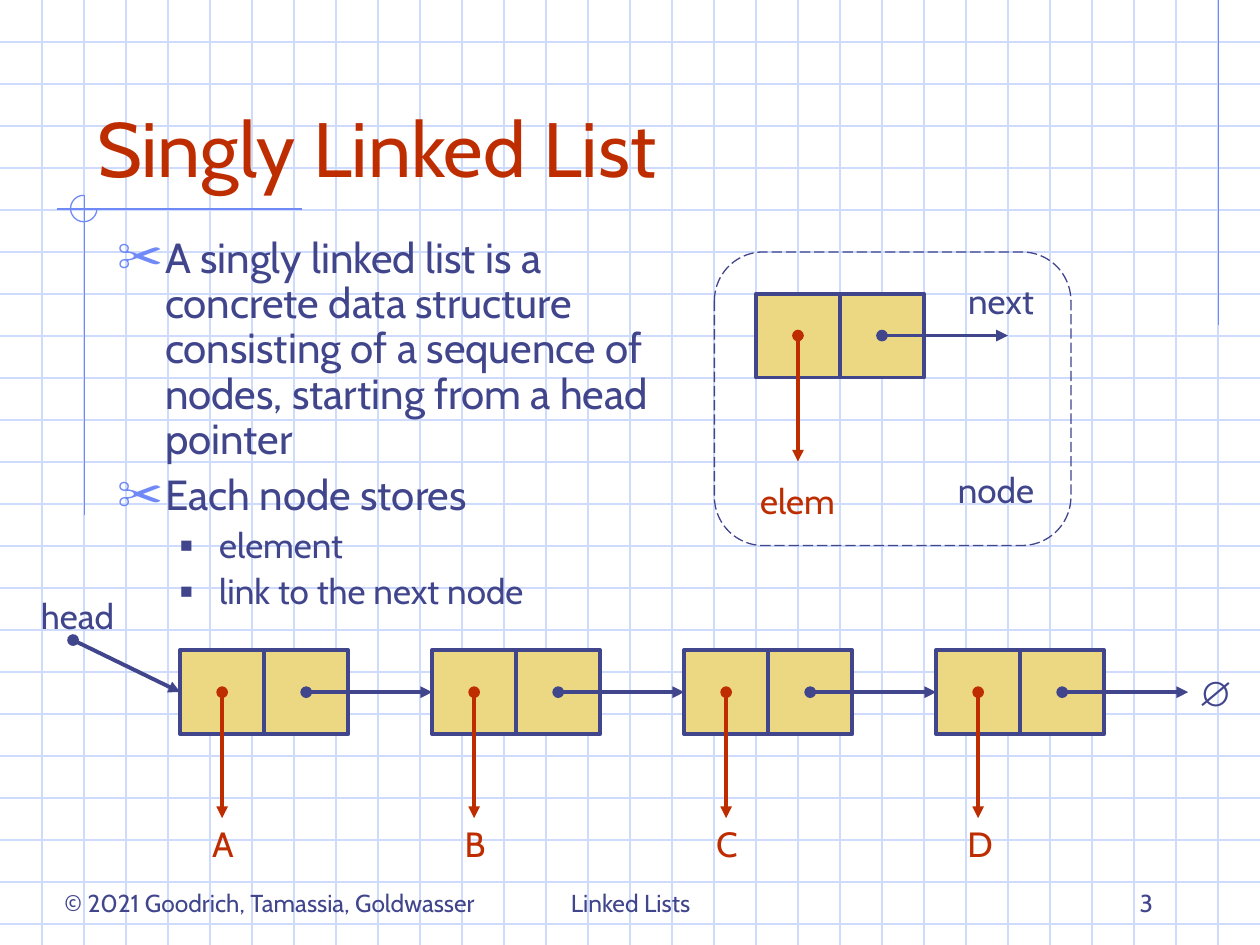
from lxml import etree
from pptx import Presentation
from pptx import util as u
from pptx.dml.color import RGBColor
from pptx.enum import dml, shapes, text
from pptx.oxml.ns import qn

NAVY = RGBColor(0x40, 0x45, 0x8C)
RED = RGBColor(0xBE, 0x2D, 0x00)
BLUE = RGBColor(0x6F, 0x89, 0xF7)
GRID = RGBColor(0xCF, 0xDB, 0xFD)
SAND = RGBColor(0xEC, 0xD8, 0x82)
WHITE = RGBColor(0xFF, 0xFF, 0xFF)

CELL = 2 / 3  # side of one node cell, in inches
STEP = 1 / 3  # spacing of the background grid
CENTER, LEFT, RIGHT = text.PP_ALIGN.CENTER, text.PP_ALIGN.LEFT, text.PP_ALIGN.RIGHT


class Deck:
    """Style of the deck and the slide being drawn."""

    font = "Cabin"
    thin, thick = 0.75, 2.25

    def __init__(self, prs):
        self.s = prs.slides.add_slide(prs.slide_layouts[1])
        fill = self.s.background.fill
        fill.solid()
        fill.fore_color.rgb = WHITE

    def style(self, p, size, color, font=None, bold=False):
        for r in p.runs:
            r.font.name = font or self.font
            r.font.size = u.Pt(size)
            r.font.bold = bold
            r.font.color.rgb = color

    def line(self, x1, y1, x2, y2, color, width=thin):
        c = self.s.shapes.add_connector(
            shapes.MSO_CONNECTOR.STRAIGHT, *map(u.Inches, (x1, y1, x2, y2)))
        c.line.color.rgb = color
        c.line.width = u.Pt(width)
        etree.SubElement(c.element.spPr, qn("a:effectLst"))
        return c

    def arrow(self, x1, y1, x2, y2, color=NAVY, target=None):
        """Line with a dot at its start; target is the cell it points to."""
        c = self.line(x1, y1, x2, y2, color, self.thick)
        ln = c.line._get_or_add_ln()
        etree.SubElement(ln, qn("a:headEnd"), type="oval")
        etree.SubElement(ln, qn("a:tailEnd"), type="triangle")
        if target is not None:
            c.end_connect(target, 1)

    def shape(self, kind, x, y, w, h, line=NAVY, width=thin, fill=None):
        sp = self.s.shapes.add_shape(kind, *map(u.Inches, (x, y, w, h)))
        sp.shadow.inherit = False
        sp.line.color.rgb = line
        sp.line.width = u.Pt(width)
        if fill is None:
            sp.fill.background()
        else:
            sp.fill.solid()
            sp.fill.fore_color.rgb = fill
        return sp

    def node(self, x, y):
        """Two cells side by side; returns the left one."""
        left, _ = [self.shape(shapes.MSO_SHAPE.RECTANGLE, x + i * CELL, y, CELL, CELL,
                              width=self.thick, fill=SAND) for i in range(2)]
        return left

    def links(self, x, y, target=None):
        """Arrows of a node: down to its element and right to the next node."""
        mid = y + CELL / 2
        self.arrow(x + CELL / 2, mid, x + CELL / 2, mid + 1, RED)
        self.arrow(x + CELL * 1.5, mid, x + CELL * 1.5 + 1, mid, target=target)

    def label(self, words, x, y, w, h=0.44, size=20, color=NAVY, font=None, bold=False):
        tf = self.s.shapes.add_textbox(*map(u.Inches, (x, y, w, h))).text_frame
        tf.word_wrap = False
        tf.text = words
        tf.paragraphs[0].alignment = CENTER
        self.style(tf.paragraphs[0], size, color, font, bold)
        return tf

    def footer(self, words, x, w, align):
        tf = self.label(words, x, 6.83, w, 0.5, 14)
        tf.word_wrap = True
        tf.vertical_anchor = text.MSO_ANCHOR.BOTTOM
        tf.paragraphs[0].alignment = align

    def placeholder(self, ph, x, y, w, h, anchor):
        """Place a template placeholder in front of what is drawn so far."""
        ph.left, ph.top, ph.width, ph.height = map(u.Inches, (x, y, w, h))
        ph.element.getparent().append(ph.element)
        tf = ph.text_frame
        tf.auto_size = text.MSO_AUTO_SIZE.NONE
        tf.vertical_anchor = anchor
        return tf

    def title(self, words, *box):
        tf = self.placeholder(self.s.shapes.title, *box, text.MSO_ANCHOR.BOTTOM)
        tf.text = words
        tf.paragraphs[0].alignment = LEFT
        self.style(tf.paragraphs[0], 44, RED)

    def bullets(self, items, *box):
        tf = self.placeholder(self.s.placeholders[1], *box, text.MSO_ANCHOR.TOP)
        # margin, hanging indent, character, colour, percent, text size, space before
        levels = [(0.38, -0.38, "✂", BLUE, 110, 24, 6),
                  (0.81, -0.31, "■", NAVY, 60, 20, 5)]
        for i, (level, words) in enumerate(items):
            margin, indent, char, color, percent, size, before = levels[level]
            p = tf.paragraphs[0] if i == 0 else tf.add_paragraph()
            p.text = words
            p.level = level
            p.alignment = LEFT
            p.line_spacing = 0.9
            p.space_before = u.Pt(before if i else 0)
            pPr = p._p.get_or_add_pPr()
            pPr.set("marL", str(u.Inches(margin)))
            pPr.set("indent", str(u.Inches(indent)))
            clr = etree.SubElement(pPr, qn("a:buClr"))
            etree.SubElement(clr, qn("a:srgbClr"), val=str(color))
            etree.SubElement(pPr, qn("a:buSzPct"), val=str(percent * 1000))
            etree.SubElement(pPr, qn("a:buChar"), char=char)
            self.style(p, size, NAVY)


def main():
    prs = Presentation()
    prs.slide_width, prs.slide_height = u.Inches(10), u.Inches(7.5)
    d = Deck(prs)

    # Background grid
    for i in range(1, 23):
        d.line(0, i * STEP, 10, i * STEP, GRID)
    for i in range(1, 30):
        d.line(i * STEP, 0, i * STEP, 7.5, GRID)

    # Accent lines and the open ring at their crossing
    d.line(9.67, 0, 9.67, 2.58, BLUE)
    d.line(2.4, 1.66, 0.45, 1.66, BLUE)
    d.line(0.67, 1.55, 0.67, 4.09, BLUE)
    ring = d.shape(shapes.MSO_SHAPE.ARC, 0.56, 1.55, 0.21, 0.21, BLUE)
    ring.adjustments[0], ring.adjustments[1] = 0, 162  # right round to top

    # Footer
    d.label("© 2021 Goodrich, Tamassia, Goldwasser", 0.2, 7, 3.88, 0.34, 14)
    d.footer("Linked Lists", 3.42, 3.17, CENTER)
    d.footer("3", 7.17, 2.08, RIGHT)

    # Title and list
    d.title("Singly Linked List", 0.67, 0.33, 8.5, 1.25)
    d.bullets([
        (0, "A singly linked list is a concrete data structure consisting of "
            "a sequence of nodes, starting from a head pointer"),
        (0, "Each node stores"),
        (1, "element"),
        (1, "link to the next node"),
    ], 0.83, 1.83, 4.5, 3.08)

    # Anatomy of one node
    frame = d.shape(shapes.MSO_SHAPE.ROUNDED_RECTANGLE, 5.67, 2, 2.83, 2.33)
    frame.line.dash_style = dml.MSO_LINE.LONG_DASH
    d.node(6, 2.33)
    d.links(6, 2.33)
    d.label("next", 7.56, 2.17, 0.77)
    d.label("elem", 5.91, 3.76, 0.84, color=RED)
    d.label("node", 7.47, 3.67, 0.87)

    # Chain of nodes
    top = 5.16
    lefts = [1.43 + 2 * i for i in range(4)]
    cells = [d.node(x, top) for x in lefts]
    for x, letter, target in zip(lefts, "ABCD", cells[1:] + [None]):
        d.links(x, top, target)
        d.label(letter, x + 0.15, 6.48, 0.38, color=RED)
    d.label("∅", 9.41, 5.28, 0.42, font="Arial", bold=True)

    # Head pointer
    d.arrow(0.58, 5.08, 1.43, 5.49, target=cells[0])
    d.label("head", 0.19, 4.67, 0.85)

    prs.save("out.pptx")


if __name__ == "__main__":
    main()
